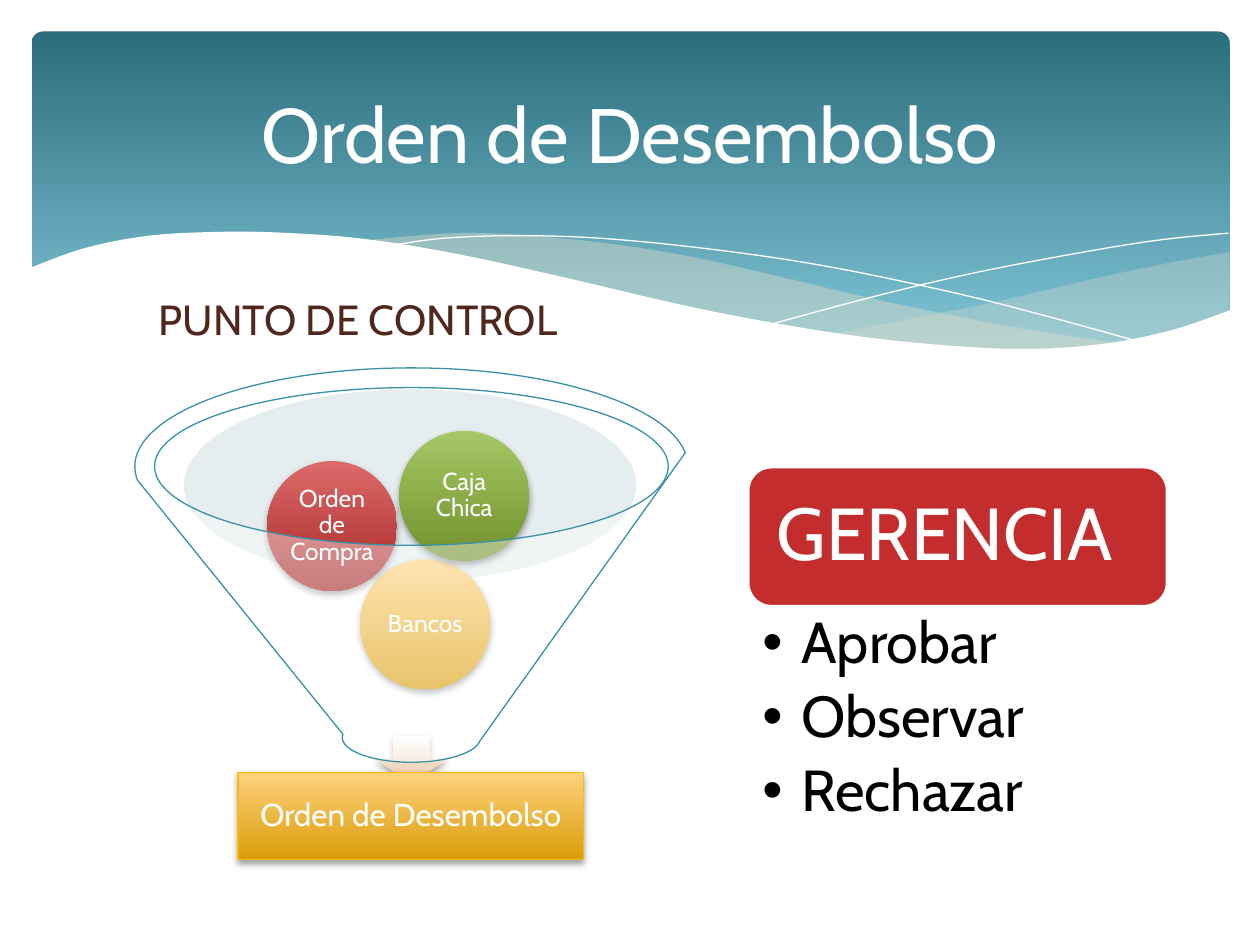
from dataclasses import dataclass

from lxml import etree
from pptx import Presentation
from pptx.dml.color import RGBColor
from pptx.enum.shapes import MSO_SHAPE as SHAPE
from pptx.enum.text import MSO_ANCHOR as ANCHOR, MSO_AUTO_SIZE as AUTO, PP_ALIGN as ALIGN
from pptx.oxml.ns import qn
from pptx.util import Inches, Pt


@dataclass(frozen=True)
class Theme:
    font: str = "Cabin"
    white: str = "FFFFFF"
    black: str = "000000"
    brown: str = "4F271C"
    sand: str = "E7DEC9"
    mist: str = "BFD2D9"
    teal: str = "3891A7"
    red: str = "C32D2E"
    amber: str = "FEB80A"
    banner: tuple = ("2A6D7D", "7EC3D4")
    amber_fade: tuple = ("FFD27E", "D99D09")
    red_fade: tuple = ("DC6A6A", "A72627")
    green_fade: tuple = ("A5C766", "71912C")
    arrow_fade: tuple = ("FFFFFF", "EAC59E")
    title: int = 44
    role: int = 42
    list: int = 33
    heading: int = 24
    result: int = 18
    ball: int = 14


def smooth(points, steps=6):
    """Sample a Catmull-Rom curve that passes through the points."""
    padded = [points[0], *points, points[-1]]
    curve = [points[0]]
    for a, b, c, d in zip(padded, padded[1:], padded[2:], padded[3:]):
        for i in range(1, steps + 1):
            t = i / steps
            curve.append(tuple(
                (2 * q + (r - p) * t + (2 * p - 5 * q + 4 * r - u) * t ** 2
                 + (3 * q - p - 3 * r + u) * t ** 3) / 2
                for p, q, r, u in zip(a, b, c, d)))
    return curve


class Deck:
    def __init__(self, theme):
        self.theme = theme
        self.prs = Presentation()
        self.prs.slide_width, self.prs.slide_height = Inches(10), Inches(7.5)

    def new_slide(self, layout):
        self.s = self.prs.slides.add_slide(self.prs.slide_layouts[layout])

    def paint(self, sp, fill=None, line=None, width=0.75, alpha=None, end=1.0, shadow=False):
        """Fill with a colour, or with a (top, bottom) gradient; None means no fill."""
        sp.shadow.inherit = False
        if isinstance(fill, tuple):
            sp.fill.gradient()
            sp.fill.gradient_angle = 270
            for stop, color, pos in zip(sp.fill.gradient_stops, fill, (0, end)):
                stop.color.rgb = RGBColor.from_string(color)
                stop.position = pos
        elif fill:
            sp.fill.solid()
            sp.fill.fore_color.rgb = RGBColor.from_string(fill)
        else:
            sp.fill.background()
        props = sp._element.spPr
        if alpha:
            self.add_alpha(props.find(qn("a:solidFill"))[0], alpha)
        if line:
            sp.line.color.rgb = RGBColor.from_string(line)
            sp.line.width = Pt(width)
        else:
            sp.line.fill.background()
        if shadow:
            outer = etree.SubElement(props.find(qn("a:effectLst")), qn("a:outerShdw"),
                                     blurRad=str(Pt(4)), dist=str(Pt(2)), dir="5400000")
            color = etree.SubElement(outer, qn("a:srgbClr"), val=self.theme.black)
            self.add_alpha(color, 38)

    @staticmethod
    def add_alpha(color, percent):
        etree.SubElement(color, qn("a:alpha"), val=str(percent * 1000))

    def shape(self, kind, box, adjust=None, **paint):
        sp = self.s.shapes.add_shape(kind, *map(Inches, box))
        if adjust is not None:
            sp.adjustments[0] = adjust
        self.paint(sp, **paint)
        return sp

    def outline(self, points, close=True, **paint):
        emu = [tuple(map(Inches, point)) for point in points]
        builder = self.s.shapes.build_freeform(*emu[0], scale=1.0)
        builder.add_line_segments(emu[1:], close=close)
        self.paint(builder.convert_to_shape(), **paint)

    def set_text(self, sp, lines, size, color, align=ALIGN.CENTER, anchor=ANCHOR.MIDDLE,
                 insets=(0.1, 0.05, 0.1, 0.05), spacing=0.9, after=0):
        tf = sp.text_frame
        left, top, right, bottom = map(Inches, insets)
        frame = dict(word_wrap=True, auto_size=AUTO.NONE, vertical_anchor=anchor,
                     margin_left=left, margin_top=top, margin_right=right, margin_bottom=bottom)
        for name, value in frame.items():
            setattr(tf, name, value)
        for i, line in enumerate(lines):
            p = tf.add_paragraph() if i else tf.paragraphs[0]
            layout = dict(alignment=align, line_spacing=spacing,
                          space_before=Pt(0), space_after=Pt(after))
            for name, value in layout.items():
                setattr(p, name, value)
            r = p.add_run()
            r.text = line
            for name, value in dict(name=self.theme.font, size=Pt(size), bold=False).items():
                setattr(r.font, name, value)
            r.font.color.rgb = RGBColor.from_string(color)

    def placeholder(self, idx, box, lines, size, color, **text):
        """Fill a placeholder and bring it in front of what is already drawn."""
        sp = self.s.placeholders[idx]
        sp.left, sp.top, sp.width, sp.height = map(Inches, box)
        self.s.shapes._spTree.append(sp._element)
        self.set_text(sp, lines, size, color, **text)
        return sp

    def bullets(self, sp, indent):
        for p in sp.text_frame.paragraphs:
            pPr = p._p.get_or_add_pPr()
            pPr.set("marL", str(Inches(indent)))
            pPr.set("indent", str(-Inches(indent)))
            etree.SubElement(pPr, qn("a:buChar"), char="•")

    def drop_empty_placeholders(self):
        for sp in list(self.s.placeholders):
            if not sp.text_frame.text:
                sp._element.getparent().remove(sp._element)


def draw_banner(deck):
    th = deck.theme
    deck.shape(SHAPE.ROUNDED_RECTANGLE, (0.25, 0.25, 9.51, 2.7), 0.034, fill=th.banner, end=0.9)
    right_top = smooth([(9.76, 2), (9.21, 2.1), (8.61, 2.23), (7.79, 2.42), (6.61, 2.65)])
    right_bottom = smooth([(6.61, 2.65), (7.19, 2.72), (7.69, 2.77), (8.24, 2.77),
                           (8.81, 2.73), (9.28, 2.63), (9.76, 2.47)])
    deck.outline(right_top + right_bottom[1:], fill=th.sand, alpha=29)
    middle_top = smooth([(8.93, 2.73), (8.07, 2.6), (7.06, 2.4), (6.29, 2.22), (5.55, 2.05),
                         (4.89, 1.94), (4.2, 1.87), (3.61, 1.85), (2.86, 1.91)])
    middle_bottom = smooth([(2.86, 1.91), (3.62, 2.03), (4.49, 2.22), (5.3, 2.4), (6.01, 2.55),
                            (6.8, 2.68), (7.48, 2.76), (8.07, 2.78), (8.93, 2.73)])
    deck.outline(middle_top + middle_bottom[1:], fill=th.sand, alpha=40)
    for line in (
        [(3.09, 1.95), (3.53, 1.89), (4.16, 1.87), (4.89, 1.9), (5.82, 2), (6.65, 2.13),
         (7.6, 2.33), (8.31, 2.51), (9.07, 2.72)],
        [(6.13, 2.57), (6.95, 2.35), (7.76, 2.16), (8.66, 1.99), (9.24, 1.9), (9.75, 1.85)],
    ):
        deck.outline(smooth(line), close=False, line=th.white, width=0)
    edge = smooth([(9.77, 2.46), (9.3, 2.62), (8.75, 2.73), (8.09, 2.77), (7.26, 2.72),
                   (6.48, 2.62), (5.55, 2.45), (4.47, 2.2), (3.65, 2.02), (2.92, 1.9),
                   (2.3, 1.85), (1.77, 1.84), (1.19, 1.87), (0.67, 1.97), (0.23, 2.13)])
    deck.outline(edge + [(0.23, 3.29), (9.77, 3.29)], fill=th.white)


def draw_funnel(deck):
    th = deck.theme
    deck.shape(SHAPE.OVAL, (1.46, 3.09, 3.59, 1.52), fill=th.mist, alpha=40)
    deck.shape(SHAPE.DOWN_ARROW, (2.98, 5.84, 0.57, 0.37), fill=th.arrow_fade, shadow=True)
    result = deck.shape(SHAPE.RECTANGLE, (1.89, 6.13, 2.74, 0.69),
                        fill=th.amber_fade, line=th.amber, shadow=True)
    deck.set_text(result, ["Orden de Desembolso"], th.result, th.white, insets=(0.14,) * 4)
    for text, left, top, fade in (("Bancos", 2.86, 4.44, th.amber_fade),
                                  ("Orden de Compra", 2.12, 3.66, th.red_fade),
                                  ("Caja Chica", 3.17, 3.42, th.green_fade)):
        ball = deck.shape(SHAPE.OVAL, (left, top, 1.03, 1.03), fill=fade, shadow=True)
        deck.set_text(ball, [text], th.ball, th.white, insets=(0.02,) * 4)
    deck.shape(SHAPE.FUNNEL, (1.07, 2.92, 4.39, 3.13), fill=th.white, alpha=40, line=th.teal)


def main():
    th = Theme()
    deck = Deck(th)
    deck.new_slide(4)
    draw_banner(deck)
    deck.placeholder(0, (0.5, 0.37, 9, 1.37), ["Orden de Desembolso"], th.title, th.white, spacing=1.0)
    deck.placeholder(1, (0.75, 2.18, 4.18, 0.7), ["PUNTO DE CONTROL"], th.heading, th.brown, spacing=1.0)
    draw_funnel(deck)
    role = deck.shape(SHAPE.ROUNDED_RECTANGLE, (5.94, 3.71, 3.32, 1.1),
                      fill=th.red, line=th.white, width=1.25)
    deck.set_text(role, ["GERENCIA"], th.role, th.white, align=ALIGN.LEFT, insets=(0.17,) * 4)
    actions = deck.placeholder(4, (5.94, 4.81, 3.32, 1.85), ["Aprobar", "Observar", "Rechazar"],
                               th.list, th.black, align=ALIGN.LEFT, anchor=ANCHOR.TOP,
                               insets=(0.11, 0.06, 0.33, 0.06), after=6.6)
    deck.bullets(actions, 0.31)
    deck.drop_empty_placeholders()
    deck.prs.save("out.pptx")


if __name__ == "__main__":
    main()
